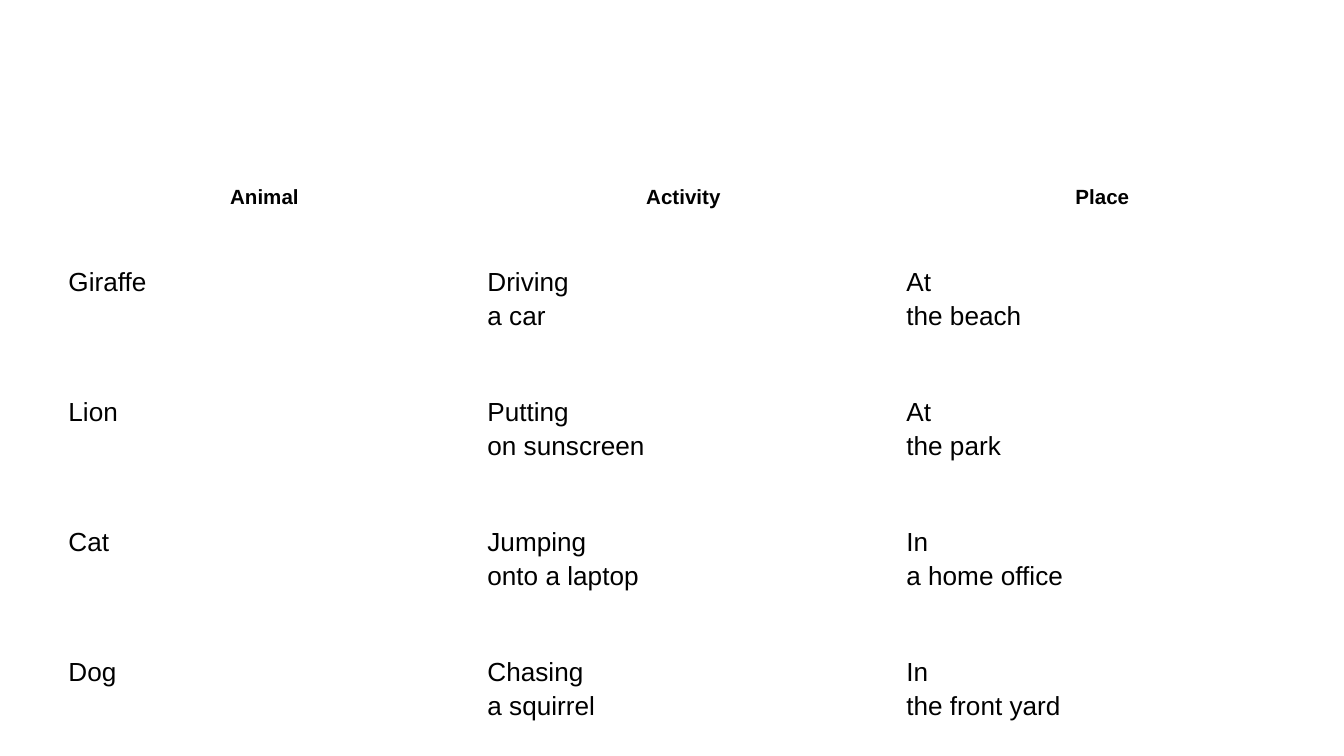
from pptx import Presentation
from pptx.dml.color import RGBColor
from pptx.enum.text import PP_ALIGN
from pptx.util import Emu, Pt

CENTER, LEFT = PP_ALIGN.CENTER, PP_ALIGN.LEFT
BLACK = RGBColor(0x00, 0x00, 0x00)
FONT = "Arial"
EMU_PER_PX = 914400 / 134.4

TABLE_LEFT, TABLE_TOP = 55, 176
COLUMN_WIDTH = 419
HEADER_HEIGHT, BODY_HEIGHT = 81, 130

HEADINGS = ("Animal", "Activity", "Place")
SCENES = (
    ("Giraffe", "Driving\na car", "At\nthe beach"),
    ("Lion", "Putting\non sunscreen", "At\nthe park"),
    ("Cat", "Jumping\nonto a laptop", "In\na home office"),
    ("Dog", "Chasing\na squirrel", "In\nthe front yard"),
)


def px(length):
    return Emu(round(length * EMU_PER_PX))


def fill_cell(cell, text, size, bold, align):
    """Write text into an unfilled cell, with a line break at each newline."""
    cell.fill.background()
    para = cell.text_frame.paragraphs[0]
    para.alignment = align
    para.line_spacing = 1.15
    for index, line in enumerate(text.split("\n")):
        if index:
            para.add_line_break()
        span = para.add_run()
        span.text = line
        span.font.name = FONT
        span.font.size = Pt(size)
        span.font.bold = bold
        span.font.color.rgb = BLACK


def add_scene_table(page):
    rows = (HEADINGS, *SCENES)
    heights = [HEADER_HEIGHT] + [BODY_HEIGHT] * len(SCENES)
    table = page.shapes.add_table(
        len(rows), len(HEADINGS), px(TABLE_LEFT), px(TABLE_TOP),
        px(COLUMN_WIDTH * len(HEADINGS)), px(sum(heights)),
    ).table
    table.horz_banding = False
    for column in table.columns:
        column.width = px(COLUMN_WIDTH)
    for row_index, (texts, height) in enumerate(zip(rows, heights)):
        table.rows[row_index].height = px(height)
        is_header = row_index == 0
        size, align = (11, CENTER) if is_header else (14, LEFT)
        for column_index, text in enumerate(texts):
            fill_cell(table.cell(row_index, column_index), text, size, is_header, align)


def main():
    deck = Presentation()
    deck.slide_width, deck.slide_height = px(1344), px(756)
    page = deck.slides.add_slide(deck.slide_layouts[6])
    add_scene_table(page)
    deck.save("out.pptx")


if __name__ == "__main__":
    main()
